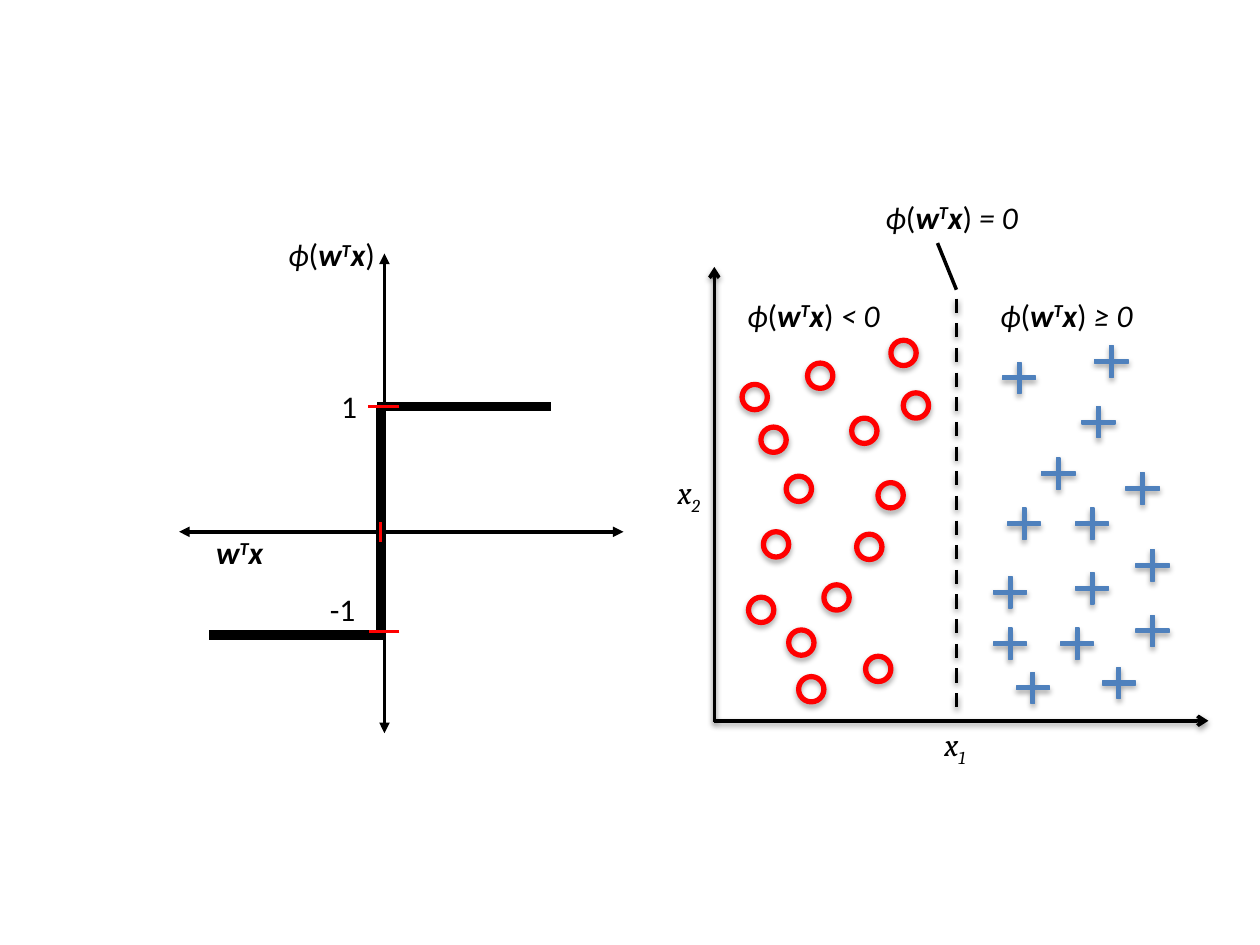
from pptx import Presentation, util as u
from pptx.dml.color import RGBColor
from pptx.enum import dml, shapes, text
from pptx.oxml import parse_xml
from pptx.oxml.ns import nsdecls, qn

COLORS = {"ink": "000000", "red": "FF0000", "blue": "4F81BD"}

# Lengths are centimetres; text spans are (text, style) with
# b = bold, i = italic, ^ = superscript, _ = subscript.
NET_INPUT = [("w", "bi"), ("T", "bi^"), ("x", "bi")]
PHI = [("ϕ", "i"), ("(", ""), *NET_INPUT, (")", "")]

# spans, left, top, width, font, wrap, centred
LABELS = [
    ([("x", "i"), ("1", "i_")], 14.4, 14.5, 9.7, "Cambria", True, True),
    ([("x", "i"), ("2", "i_")], 13.41, 9.42, 1.93, "Cambria", True, False),
    (PHI + [(" < 0", "i")], 14.81, 5.84, 4.17, "Calibri", True, False),
    (PHI + [(" ≥ 0", "i")], 19.91, 5.84, 3.66, "Calibri", True, False),
    (PHI + [(" = 0", "i")], 17.6, 3.86, 5.26, "Calibri", True, False),
    ([("-1", "")], 6.4, 11.76, 1.04, "Calibri", False, False),
    ([("1", "")], 6.63, 7.67, 0.84, "Calibri", False, False),
    (NET_INPUT, 4.11, 10.62, 1.65, "Calibri", False, False),
    (PHI, 5.56, 4.62, 2.34, "Calibri", False, False),
]

# start x, start y, end x, end y
SCATTER_AXES = [(14.4, 14.55, 14.4, 5.38), (14.4, 14.53, 24.36, 14.53)]
BOUNDARY = (19.28, 6.02, 19.28, 14.35)
BOUNDARY_LEADER = (18.9, 4.9, 19.28, 5.84)
STEP_AXES = [(7.75, 5.11, 7.75, 14.78), (12.57, 10.72, 3.61, 10.72)]
STEP = [(7.67, 8.2, 7.67, 12.88), (11.1, 8.2, 7.59, 8.2),
        (7.75, 12.8, 4.22, 12.8)]
TICKS = [(8.05, 8.2, 7.42, 8.2), (8.05, 12.73, 7.44, 12.73),
         (7.67, 10.92, 7.67, 10.52)]

PLUSES = [
    (19.91, 11.51), (19.91, 12.55), (20.88, 9.12), (20.37, 13.44),
    (21.69, 8.08), (21.56, 10.13), (20.19, 10.13), (21.95, 6.86),
    (20.09, 7.19), (22.58, 9.42), (22.1, 13.34), (22.78, 10.97),
    (21.56, 11.43), (21.26, 12.55), (22.78, 12.29),
]
CIRCLES = [
    (17.96, 6.86), (16.28, 7.32), (18.21, 7.92), (17.17, 8.43),
    (15.34, 8.61), (14.96, 7.75), (15.85, 9.6), (17.7, 9.73),
    (15.39, 10.72), (17.27, 10.77), (16.61, 11.79), (15.09, 12.04),
    (15.9, 12.7), (17.45, 13.23), (16.1, 13.64),
]


def rgb(name):
    return RGBColor.from_string(COLORS[name])


def effects(distance=None, alpha=None):
    """Effect list: a soft downward shadow, or none without a distance."""
    shadow = "" if distance is None else (
        f'<a:outerShdw blurRad="40000" dist="{distance}" dir="5400000" '
        f'rotWithShape="0"><a:srgbClr val="{COLORS["ink"]}">'
        f'<a:alpha val="{alpha}"/></a:srgbClr></a:outerShdw>')
    return parse_xml(f'<a:effectLst {nsdecls("a")}>{shadow}</a:effectLst>')


def add_line(s, ends, color="ink", width=2, head=None, tail=None,
             dashed=False, shadow=False):
    c = s.shapes.add_connector(shapes.MSO_CONNECTOR.STRAIGHT,
                               *(u.Cm(v) for v in ends))
    c.line.color.rgb = rgb(color)
    c.line.width = u.Pt(width)
    if dashed:
        c.line.dash_style = dml.MSO_LINE.DASH
    sp_pr = c.element.spPr
    for tag, kind in (("headEnd", head), ("tailEnd", tail)):
        if kind:
            sp_pr.find(qn("a:ln")).append(
                parse_xml(f'<a:{tag} {nsdecls("a")} type="{kind}"/>'))
    sp_pr.append(effects(20000, 38000) if shadow else effects())


def add_marker(s, kind, left, top, width, height, line_color, line_width):
    sp = s.shapes.add_shape(kind, *(u.Cm(v) for v in (left, top, width, height)))
    sp.fill.background()
    sp.line.color.rgb = rgb(line_color)
    sp.line.width = u.Pt(line_width)
    sp.element.spPr.append(effects(23000, 35000))
    return sp


def add_label(s, spans, left, top, width, font, wrap, centred):
    tb = s.shapes.add_textbox(u.Cm(left), u.Cm(top), u.Cm(width), u.Cm(1.02))
    tf = tb.text_frame
    tf.word_wrap = wrap
    tf.auto_size = text.MSO_AUTO_SIZE.SHAPE_TO_FIT_TEXT
    p = tf.paragraphs[0]
    p.alignment = text.PP_ALIGN.CENTER if centred else text.PP_ALIGN.LEFT
    for content, style in spans:
        r = p.add_run()
        r.text = content
        r.font.name = font
        r.font.size = u.Pt(18)
        r.font.color.rgb = rgb("ink")
        r.font.bold = "b" in style
        r.font.italic = "i" in style
        if "^" in style:
            r.font._element.set("baseline", "30000")
        elif "_" in style:
            r.font._element.set("baseline", "-25000")


def main():
    prs = Presentation()
    prs.slide_width, prs.slide_height = u.Cm(25.4), u.Cm(19.05)
    s = prs.slides.add_slide(prs.slide_layouts[6])

    for ends in SCATTER_AXES:
        add_line(s, ends, tail="arrow", shadow=True)
    for left, top in PLUSES:
        sp = add_marker(s, shapes.MSO_SHAPE.MATH_PLUS, left, top, 0.91, 0.86,
                        "blue", 0.75)
        sp.adjustments[0] = 0.087
        sp.fill.solid()
        sp.fill.fore_color.rgb = rgb("blue")
    add_line(s, BOUNDARY, dashed=True, shadow=True)
    add_line(s, BOUNDARY_LEADER)
    for left, top in CIRCLES:
        add_marker(s, shapes.MSO_SHAPE.OVAL, left, top, 0.51, 0.51, "red", 3)

    for ends in STEP_AXES:
        add_line(s, ends, head="triangle", tail="triangle")
    for ends in STEP:
        add_line(s, ends, width=5.25)
    for ends in TICKS:
        add_line(s, ends, color="red")
    for label in LABELS:
        add_label(s, *label)
    prs.save("out.pptx")


if __name__ == "__main__":
    main()
